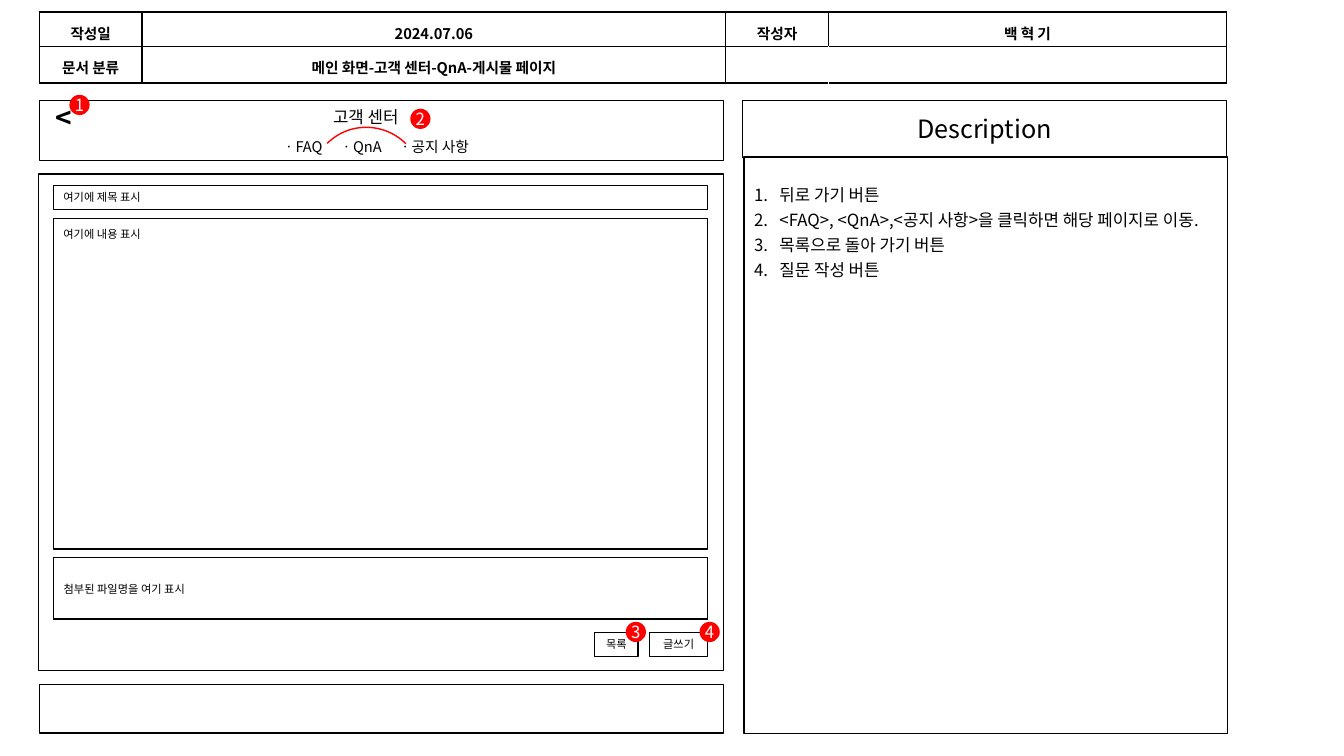
from lxml.etree import SubElement
from pptx import Presentation
from pptx.dml.color import RGBColor
from pptx.enum.shapes import MSO_SHAPE
from pptx.enum.text import MSO_ANCHOR, MSO_AUTO_SIZE, PP_ALIGN
from pptx.oxml.ns import qn
from pptx.util import Cm, Pt

BLACK = RGBColor(0, 0, 0)
WHITE = RGBColor(255, 255, 255)
RED = RGBColor(255, 0, 0)
FONT = "Noto Sans CJK KR"
LINE_SPACING = 1.25

PAGE_TITLE = "고객 센터"
MENU = ["ㆍFAQ", "ㆍQnA", "ㆍ공지 사항"]
MENU_TABS = [1.45, 2.93]
DESCRIPTION = [
    "뒤로 가기 버튼",
    "<FAQ>, <QnA>,<공지 사항>을 클릭하면 해당 페이지로 이동.",
    "목록으로 돌아 가기 버튼",
    "질문 작성 버튼",
]
INFO_COLUMNS = [2.59, 14.71, 2.59, 10.03]
INFO_TABLES = [
    (0.3, ["작성일", "2024.07.06", "작성자", "백 혁 기"], ["LRTB"] * 4),
    (1.17, ["문서 분류", "메인 화면-고객 센터-QnA-게시물 페이지", "", ""],
     ["LRTB", "LRTB", "LTB", "RTB"]),
]
FRAMES = [
    ((0.97, 4.39, 17.27, 12.5), WHITE),
    ((0.99, 2.54, 17.25, 1.5), None),
    ((18.75, 3.96, 12.19, 14.53), None),
    ((0.99, 17.25, 17.25, 1.22), WHITE),
    ((1.35, 5.51, 16.48, 8.33), None),
]
LABELS = [
    ("여기에 제목 표시", (1.35, 4.67, 16.48, 0.61), PP_ALIGN.LEFT),
    ("목록", (14.99, 15.93, 1.09, 0.61), PP_ALIGN.CENTER),
    ("글쓰기", (16.38, 15.93, 1.45, 0.61), PP_ALIGN.CENTER),
]
MARKERS = [(1.75, 2.39), (10.34, 2.74), (15.77, 15.67), (17.63, 15.67)]
MARKER_SIZE = 0.51


def lengths(box):
    """Convert a box in centimetres to slide lengths."""
    return [Cm(value) for value in box]


def format_text(frame, size, align=PP_ALIGN.LEFT, color=BLACK, bold=False,
                spacing=1.0, anchor=MSO_ANCHOR.TOP):
    """Format every paragraph and run of a text frame."""
    frame.word_wrap = True
    frame.auto_size = MSO_AUTO_SIZE.NONE
    frame.vertical_anchor = anchor
    for paragraph in frame.paragraphs:
        paragraph.alignment = align
        paragraph.line_spacing = spacing
        paragraph.space_before = Pt(0)
        for run in paragraph.runs:
            run.font.name = FONT
            run.font.size = Pt(size)
            run.font.bold = bold
            run.font.color.rgb = color
            SubElement(run.font._element, qn("a:ea"), typeface=FONT)


def add_shape(slide, kind, box, fill=None, line=BLACK, width=1):
    """Add a flat preset shape."""
    shape = slide.shapes.add_shape(kind, *lengths(box))
    shape.shadow.inherit = False
    if fill is None:
        shape.fill.background()
    else:
        shape.fill.solid()
        shape.fill.fore_color.rgb = fill
    if line is None:
        shape.line.fill.background()
    else:
        shape.line.color.rgb = line
        shape.line.width = Pt(width)
    return shape


def add_text(slide, text, box, size, **style):
    """Add a formatted text box."""
    frame = slide.shapes.add_textbox(*lengths(box)).text_frame
    frame.text = text
    format_text(frame, size, **style)
    return frame


def add_table(slide, box, columns, texts, sides, size, **style):
    """Add a white one-row table with the given cell borders."""
    table = slide.shapes.add_table(1, len(columns), *lengths(box)).table
    table.first_row = table.horz_banding = False
    for index, width in enumerate(columns):
        table.columns[index].width = Cm(width)
        cell = table.cell(0, index)
        properties = cell._tc.get_or_add_tcPr()
        for side in sides[index]:
            border = SubElement(properties, qn(f"a:ln{side}"), w=str(Pt(1)))
            fill = SubElement(border, qn("a:solidFill"))
            SubElement(fill, qn("a:srgbClr"), val=str(BLACK))
        cell.fill.solid()
        cell.fill.fore_color.rgb = WHITE
        cell.vertical_anchor = style.get("anchor", MSO_ANCHOR.TOP)
        paragraph = cell.text_frame.paragraphs[0]
        if texts[index]:
            paragraph.text = texts[index]
            format_text(cell.text_frame, size, **style)
        else:
            SubElement(paragraph._p, qn("a:endParaRPr"), sz=str(int(size * 100)))


def place(placeholder, box):
    """Move a placeholder to a box."""
    placeholder.left, placeholder.top, placeholder.width, placeholder.height = lengths(box)


def add_menu(slide):
    """Add the menu line with its tab stops."""
    frame = slide.shapes.add_textbox(*lengths((6.5, 3.35, 5.99, 0.71))).text_frame
    frame.margin_left = Cm(0.61)
    paragraph = frame.paragraphs[0]
    tabs = SubElement(paragraph._p.get_or_add_pPr(), qn("a:tabLst"))
    for position in MENU_TABS:
        SubElement(tabs, qn("a:tab"), pos=str(Cm(position)), algn="l")
    paragraph.text = "\t".join(MENU)
    format_text(frame, 10.5)


def add_description(slide):
    """Fill the numbered list and its heading."""
    body = slide.placeholders[1]
    place(body, (18.75, 4.39, 12.19, 4.11))
    body.text_frame.text = "\n".join(DESCRIPTION)
    for paragraph in body.text_frame.paragraphs:
        properties = paragraph._p.get_or_add_pPr()
        properties.set("marL", str(Cm(0.64)))
        properties.set("indent", str(-Cm(0.64)))
        SubElement(properties, qn("a:buFont"), typeface="+mj-lt")
        SubElement(properties, qn("a:buAutoNum"), type="arabicPeriod")
    format_text(body.text_frame, 12, spacing=LINE_SPACING)
    heading = add_shape(slide, MSO_SHAPE.RECTANGLE, (18.72, 2.54, 12.19, 1.42), width=0.75)
    heading.text_frame.text = "Description"
    format_text(heading.text_frame, 18, PP_ALIGN.CENTER, spacing=LINE_SPACING)


def main():
    """Build the question board page specification."""
    presentation = Presentation()
    presentation.slide_width, presentation.slide_height = Cm(33.87), Cm(19.05)
    slide = presentation.slides.add_slide(presentation.slide_layouts[1])
    for box, fill in FRAMES:
        add_shape(slide, MSO_SHAPE.RECTANGLE, box, fill)

    title = slide.shapes.title
    place(title, (8, 2.57, 2.44, 0.76))
    title.text_frame.text = PAGE_TITLE
    format_text(title.text_frame, 12, PP_ALIGN.CENTER)
    add_description(slide)

    for top, texts, sides in INFO_TABLES:
        add_table(slide, (0.99, top, sum(INFO_COLUMNS), 0.84), INFO_COLUMNS, texts, sides,
                  10.5, align=PP_ALIGN.CENTER, bold=True, spacing=LINE_SPACING)
    add_table(slide, (1.35, 14.05, 16.48, 1.55), [16.48], ["첨부된 파일명을 여기 표시"],
              ["LRTB"], 8, anchor=MSO_ANCHOR.MIDDLE)

    add_menu(slide)
    arc = add_shape(slide, MSO_SHAPE.ARC, (7.85, 3.2, 2.79, 2.82), line=RED)
    arc.rotation = -45
    add_text(slide, "<", (0.84, 2.41, 1.55, 1.12), 20, align=PP_ALIGN.CENTER, bold=True)
    add_text(slide, "여기에 내용 표시", (1.35, 5.61, 2.9, 0.61), 8)
    for text, box, align in LABELS:
        label = add_shape(slide, MSO_SHAPE.RECTANGLE, box, width=0.75)
        label.text_frame.text = text
        format_text(label.text_frame, 8, align, anchor=MSO_ANCHOR.MIDDLE)

    for number, (left, top) in enumerate(MARKERS, 1):
        marker = add_shape(slide, MSO_SHAPE.OVAL, (left, top, MARKER_SIZE, MARKER_SIZE), RED, None)
        frame = marker.text_frame
        frame.margin_left = frame.margin_right = frame.margin_top = frame.margin_bottom = 0
        frame.text = str(number)
        format_text(frame, 12, PP_ALIGN.CENTER, WHITE, anchor=MSO_ANCHOR.MIDDLE)

    presentation.save("out.pptx")


if __name__ == "__main__":
    main()
